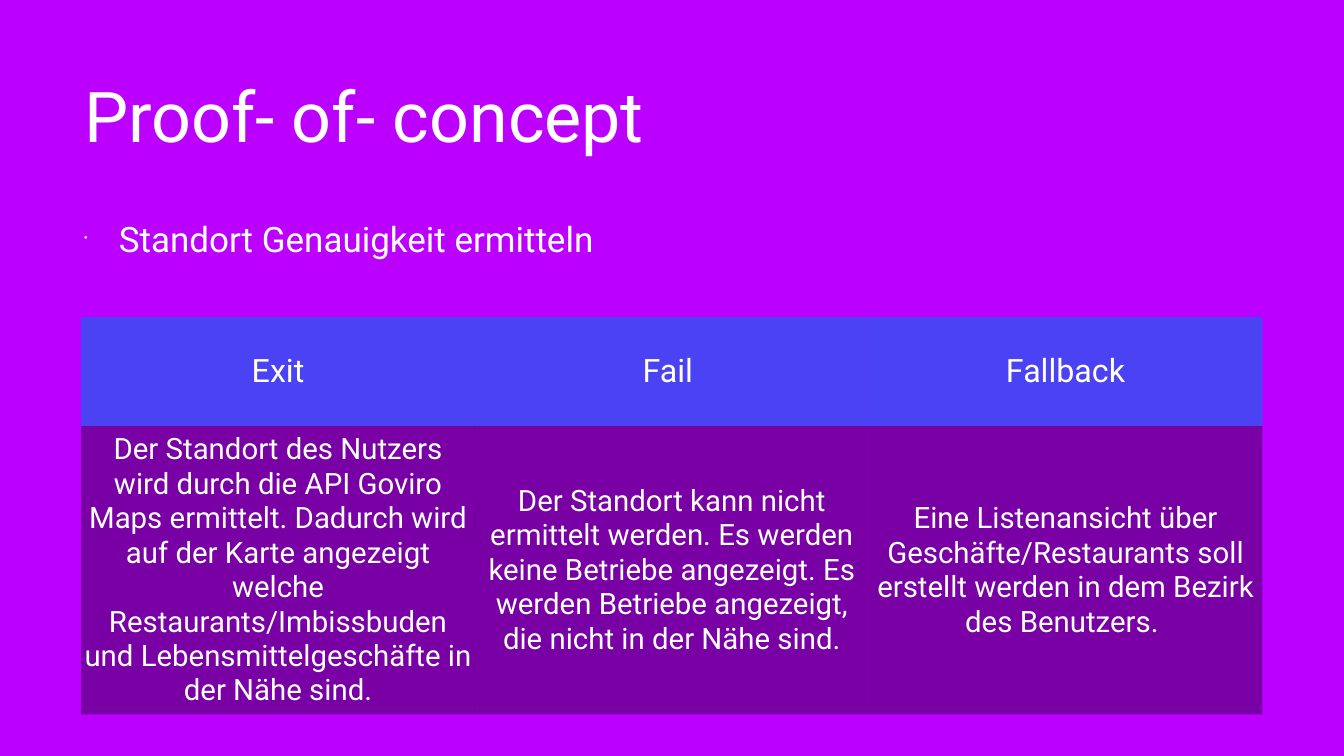
from dataclasses import dataclass

from lxml.etree import SubElement
from pptx import Presentation
from pptx.dml.color import RGBColor
from pptx.enum.text import MSO_ANCHOR, PP_ALIGN
from pptx.oxml.ns import qn
from pptx.util import Cm, Pt


@dataclass(frozen=True)
class Theme:
    font: str = "Roboto"
    background: RGBColor = RGBColor(0xBC, 0x00, 0xFF)
    text: RGBColor = RGBColor(0xFF, 0xFF, 0xFF)
    header_fill: RGBColor = RGBColor(0x00, 0x71, 0xEB)
    body_fill: RGBColor = RGBColor(0x00, 0x02, 0x05)
    title_size: int = 100
    bullet_size: int = 50
    header_size: int = 46
    cell_size: int = 42


theme = Theme()
LEFT, WIDTH, INSET = Cm(4.09), Cm(59.54), Cm(0.15)
NO_STYLE_NO_GRID = "{2D5ABB26-0587-4C30-8999-92F81FD0307C}"


def add_run(para, text, size):
    span = para.add_run()
    span.text = text
    span.font.name = theme.font
    span.font.size = Pt(size)
    span.font.color.rgb = theme.text


def add_text_box(page, top, height, text, size, anchor):
    box = page.shapes.add_textbox(LEFT, top, WIDTH, height)
    frame = box.text_frame
    frame.word_wrap = True
    frame.vertical_anchor = anchor
    frame.margin_left = frame.margin_right = INSET
    frame.margin_top = frame.margin_bottom = INSET
    para = frame.paragraphs[0]
    add_run(para, text, size)
    return para


# Page
deck = Presentation()
deck.slide_width, deck.slide_height = Cm(67.74), Cm(38.1)
page = deck.slides.add_slide(deck.slide_layouts[6])
page.background.fill.solid()
page.background.fill.fore_color.rgb = theme.background

# Title
add_text_box(page, Cm(0.99), Cm(9.53), "Proof- of- concept",
             theme.title_size, MSO_ANCHOR.MIDDLE)

# Bullet with a small dot
bullet = add_text_box(page, Cm(10.82), Cm(22.33), "Standort Genauigkeit ermitteln",
                      theme.bullet_size, MSO_ANCHOR.TOP)
properties = bullet._p.get_or_add_pPr()
indent = Cm(1.75)
properties.set("marL", str(indent))
properties.set("indent", str(-indent))
SubElement(properties, qn("a:buSzPct"), val="30000")
SubElement(properties, qn("a:buChar"), char="•")

# Table: text, size, fill and opacity in percent for each row
rows = [
    (["Exit", "Fail ", "Fallback"],
     theme.header_size, theme.header_fill, 60, Cm(5.5)),
    (["Der Standort des Nutzers wird durch die API Goviro Maps ermittelt. "
      "Dadurch wird auf der Karte angezeigt welche Restaurants/Imbissbuden "
      "und Lebensmittelgeschäfte in der Nähe sind.",
      "Der Standort kann nicht ermittelt werden. Es werden keine Betriebe "
      "angezeigt. Es werden Betriebe angezeigt, die nicht in der Nähe sind.",
      "Eine Listenansicht über Geschäfte/Restaurants soll erstellt werden "
      "in dem Bezirk des Benutzers. "],
     theme.cell_size, theme.body_fill, 36, Cm(14.23)),
]
table_height = sum(row[-1] for row in rows)
table = page.shapes.add_table(len(rows), 3, LEFT, Cm(15.98), WIDTH, table_height).table
table.first_row = table.horz_banding = False
table._tbl.tblPr.find(qn("a:tableStyleId")).text = NO_STYLE_NO_GRID

for row_index, (texts, size, fill_color, opacity, height) in enumerate(rows):
    table.rows[row_index].height = height
    for column_index, text in enumerate(texts):
        cell = table.cell(row_index, column_index)
        cell.vertical_anchor = MSO_ANCHOR.MIDDLE
        cell.margin_left = cell.margin_right = INSET
        cell.margin_top = cell.margin_bottom = INSET
        cell.fill.solid()
        cell.fill.fore_color.rgb = fill_color
        color = cell._tc.tcPr.find(qn("a:solidFill")).find(qn("a:srgbClr"))
        SubElement(color, qn("a:alpha"), val=str(opacity * 1000))
        para = cell.text_frame.paragraphs[0]
        para.alignment = PP_ALIGN.CENTER
        add_run(para, text, size)

deck.save("out.pptx")
